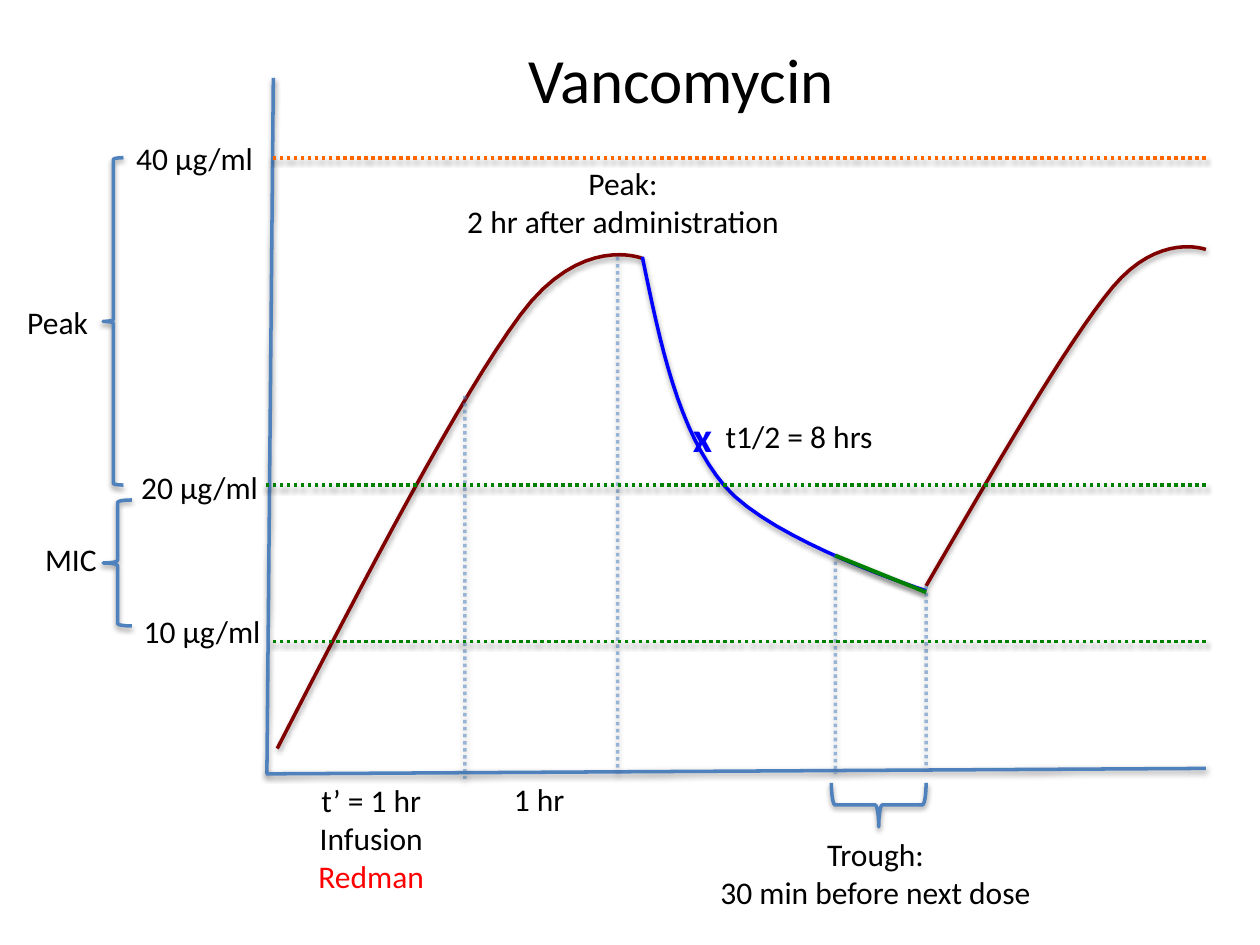
import pptx
import pptx.util
import pptx.dml.color
import pptx.enum.dml
import pptx.enum.shapes
import pptx.enum.text
import pptx.oxml
import pptx.oxml.ns
from pptx.util import Cm

COLORS = {
    "text": "000000", "axis": "4F81BD", "rise": "800000", "fall": "0000FF",
    "green": "008000", "orange": "FF6600", "red": "FF0000",
}
CENTER = pptx.enum.text.PP_ALIGN.CENTER
LEFT = pptx.enum.text.PP_ALIGN.LEFT
SHADOW = (
    f'<a:effectLst {pptx.oxml.ns.nsdecls("a")}>'
    '<a:outerShdw blurRad="40000" dist="20000" dir="5400000" rotWithShape="0">'
    '<a:srgbClr val="000000"><a:alpha val="38000"/></a:srgbClr>'
    '</a:outerShdw></a:effectLst>'
)


def rgb(name):
    return pptx.dml.color.RGBColor.from_string(COLORS[name])


def bezier(start, c1, c2, end, steps=16):
    """Points after start along a cubic curve."""
    for step in range(1, steps + 1):
        t = step / steps
        u = 1 - t
        yield tuple(u**3 * a + 3 * u * u * t * b + 3 * u * t * t * c + t**3 * d
                    for a, b, c, d in zip(start, c1, c2, end))


class DoseChart:
    font = "Calibri"
    text_size = 18
    line_width = 2

    def __init__(self, slide):
        self.slide = slide
        self.shapes = slide.shapes

    def style_runs(self, paragraph, color="text", size=None, bold=None):
        for run in paragraph.runs:
            run.font.name = self.font
            run.font.size = pptx.util.Pt(size or self.text_size)
            run.font.bold = bold
            run.font.color.rgb = rgb(color)

    def style_line(self, shape, color, width=None):
        shape.line.color.rgb = rgb(color)
        shape.line.width = pptx.util.Pt(width or self.line_width)
        shape._element.spPr.append(pptx.oxml.parse_xml(SHADOW))

    def title(self, text, left, top, width, height):
        title = self.shapes.title
        title.left, title.top, title.width, title.height = map(
            Cm, (left, top, width, height))
        title.text_frame.text = text
        title.text_frame.vertical_anchor = pptx.enum.text.MSO_ANCHOR.MIDDLE
        title.text_frame.paragraphs[0].alignment = CENTER
        self.style_runs(title.text_frame.paragraphs[0], size=36)

    def label(self, text, left, top, width, height=1.02, align=LEFT, **style):
        box = self.shapes.add_textbox(Cm(left), Cm(top), Cm(width), Cm(height))
        frame = box.text_frame
        frame.text = text
        frame.word_wrap = False
        frame.auto_size = pptx.enum.text.MSO_AUTO_SIZE.SHAPE_TO_FIT_TEXT
        for paragraph in frame.paragraphs:
            paragraph.alignment = align
            self.style_runs(paragraph, **style)
        return frame

    def line(self, start, end, color="axis", width=None, dotted=False, alpha=None):
        connector = self.shapes.add_connector(
            pptx.enum.shapes.MSO_CONNECTOR.STRAIGHT,
            *map(Cm, start), *map(Cm, end))
        self.style_line(connector, color, width)
        if dotted:
            connector.line.dash_style = pptx.enum.dml.MSO_LINE.ROUND_DOT
        if alpha:
            fill_color = connector._element.spPr.find(
                ".//" + pptx.oxml.ns.qn("a:ln") + "//" + pptx.oxml.ns.qn("a:srgbClr"))
            fill_color.append(pptx.oxml.parse_xml(
                f'<a:alpha {pptx.oxml.ns.nsdecls("a")} val="{alpha * 1000}"/>'))

    def curve(self, color, start, *segments):
        points = [start]
        for segment in segments:
            points.extend(bezier(points[-1], *segment))
        points = [(Cm(x), Cm(y)) for x, y in points]
        builder = self.shapes.build_freeform(*points[0])
        builder.add_line_segments(points[1:], close=False)
        outline = builder.convert_to_shape()
        outline.fill.background()
        self.style_line(outline, color)

    def brace(self, left, top, width, height, rotation=0):
        brace = self.shapes.add_shape(
            pptx.enum.shapes.MSO_SHAPE.LEFT_BRACE,
            Cm(left), Cm(top), Cm(width), Cm(height))
        brace.rotation = rotation
        brace.fill.background()
        self.style_line(brace, "axis")


def main():
    deck = pptx.Presentation()
    deck.slide_width, deck.slide_height = Cm(25.4), Cm(19.05)
    chart = DoseChart(deck.slides.add_slide(deck.slide_layouts[5]))
    chart.title("Vancomycin", 8.23, 0.79, 11, 1.57)

    # Axes
    right_edge = 24.31
    chart.line((5.51, 1.57), (5.38, 15.6))
    chart.line((right_edge, 15.49), (5.36, 15.6))

    # Concentration during the first dose, elimination and the next dose
    chart.curve("rise", (5.59, 15.09),
                ((7.42, 11.53), (9.27, 8), (10.49, 6.35)),
                ((11.71, 4.7), (12.95, 5.21), (12.95, 5.21)))
    chart.curve("rise", (18.67, 11.81),
                ((20.09, 9.37), (21.49, 6.93), (22.43, 5.79)),
                ((23.37, 4.67), (right_edge, 5.03), (right_edge, 5.03)))
    chart.curve("fall", (12.95, 5.18),
                ((13.31, 6.93), (13.67, 8.69), (14.61, 9.8)),
                ((15.57, 10.92), (18.67, 11.91), (18.67, 11.91)))

    # Time markers
    for x, top, bottom in ((9.37, 7.98, 15.7), (12.45, 5.18, 15.6),
                           (16.84, 11.18, 15.6), (18.67, 11.81, 15.49)):
        chart.line((x, top), (x, bottom), dotted=True, alpha=54)

    # Concentration levels
    for text, left, top, line_left, y, color in (
            ("10 µg/ml", 2.64, 12.22, 5.44, 12.93, "green"),
            ("20 µg/ml", 2.59, 9.32, 5.36, 9.78, "green"),
            ("40 µg/ml", 2.49, 2.67, 5.46, 3.18, "orange")):
        chart.line((right_edge, y), (line_left, y), color, dotted=True)
        chart.label(text, left, top, 2.87, align=CENTER)

    # Target ranges
    chart.label("MIC", 0.66, 10.77, 1.57)
    chart.brace(2.08, 10.08, 0.58, 2.54)
    chart.label("Peak", 0.3, 5.99, 1.75)
    chart.brace(2.08, 3.18, 0.41, 6.6)

    # Infusion and peak timing
    infusion = chart.label("t’ = 1 hr\nInfusion\nRedman", 6.15, 15.62, 2.67, 2.56,
                           align=CENTER)
    chart.style_runs(infusion.paragraphs[2], "red")
    chart.label("1 hr", 10.11, 15.6, 1.55)
    chart.label("Peak:\n2 hr after administration", 9.12, 3.18, 6.88, 1.8,
                align=CENTER)

    # Half-life
    chart.label("t1/2 = 8 hrs", 14.38, 8.28, 3.51)
    chart.label("x", 13.72, 8.15, 0.91, 1.27, color="fall", size=24, bold=True)

    # Trough
    chart.line((16.84, 11.2), (18.67, 11.94), "green", 2.25)
    chart.brace(17.27, 15.27, 0.89, 1.91, rotation=270)
    chart.label("Trough:\n30 min before next dose", 14.22, 16.71, 6.86, 1.8,
                align=CENTER)

    deck.save("out.pptx")


if __name__ == "__main__":
    main()
